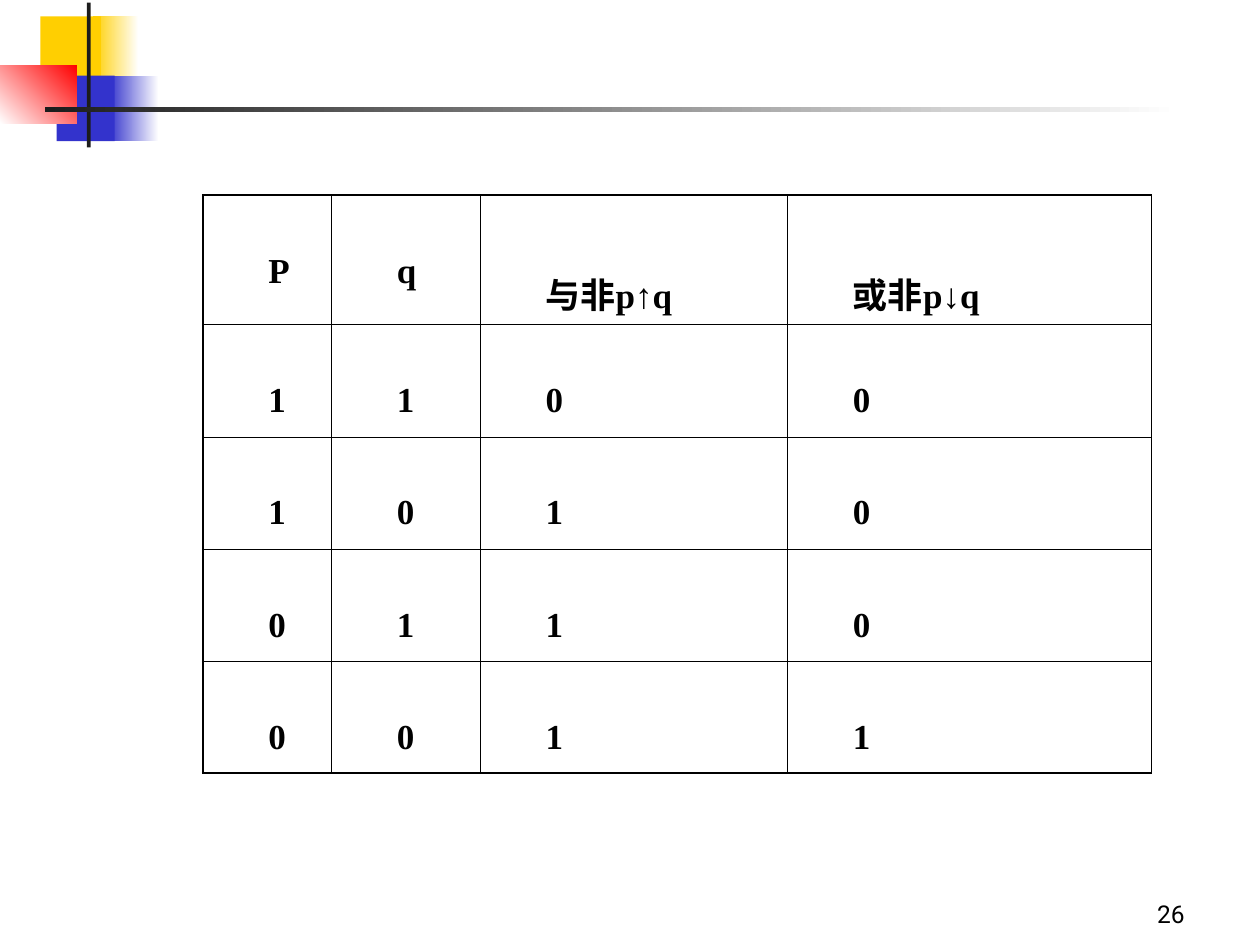
"""Build a slide with the truth table of the NAND and NOR connectives."""
from dataclasses import dataclass
from typing import Any, Optional

from lxml import etree
from pptx import Presentation
from pptx.dml.color import RGBColor
from pptx.enum.shapes import MSO_SHAPE
from pptx.enum.text import MSO_ANCHOR, PP_ALIGN
from pptx.oxml.ns import qn
from pptx.util import Inches, Pt

RECTANGLE = MSO_SHAPE.RECTANGLE
BOTTOM = MSO_ANCHOR.BOTTOM
RIGHT = PP_ALIGN.RIGHT

COLORS = {
    "white": "FFFFFF",
    "yellow": "FFCF01",
    "blue": "3333CC",
    "red": "FF0000",
    "dark": "1C1C1C",
    "black": "000000",
}
TABLE_ROWS = [
    ["P", "q", "与非p↑q", "或非p↓q"],
    ["1", "1", "0", "0"],
    ["1", "0", "1", "0"],
    ["0", "1", "1", "0"],
    ["0", "0", "1", "1"],
]
COLUMN_WIDTHS = [1.02, 1.18, 2.44, 2.89]
ROW_HEIGHT = 0.89
OUTER_BORDER = 1.08
INNER_BORDER = 0.45
CELL_PARAGRAPH = {"line_spacing": 2.3, "space_before": Pt(5)}
CELL_FONT = {"name": "Times New Roman", "size": Pt(20), "bold": True}
NUMBER_FONT = {"name": "Roboto", "size": Pt(14)}


@dataclass
class Block:
    """A decorative rectangle, fading to a second color if one is given."""
    left: float
    top: float
    width: float
    height: float
    color: str
    fade_to: Optional[str] = None
    angle: float = 180


BLOCKS = [
    Block(0.74, 0.13, 0.36, 0.52, "white", "yellow"),
    Block(0.86, 0.6, 0.4, 0.52, "white", "blue"),
    Block(0.32, 0.13, 0.48, 0.52, "yellow"),
    Block(0.45, 0.6, 0.46, 0.52, "blue"),
    Block(0, 0.52, 0.61, 0.46, "red", "white", 225),
    Block(0.69, 0.02, 0.03, 1.15, "dark"),
    Block(0.36, 0.85, 9, 0.04, "white", "dark"),
]


def rgb(name: str) -> RGBColor:
    """Return the named color."""
    return RGBColor.from_string(COLORS[name])


def apply_format(target: Any, values: dict) -> None:
    """Set every attribute in values on the target."""
    for name, value in values.items():
        setattr(target, name, value)


def add_block(slide: Any, block: Block) -> None:
    """Draw one decorative rectangle."""
    shape = slide.shapes.add_shape(
        RECTANGLE, Inches(block.left), Inches(block.top),
        Inches(block.width), Inches(block.height))
    shape.shadow.inherit = False
    shape.line.fill.background()
    if block.fade_to is None:
        shape.fill.solid()
        shape.fill.fore_color.rgb = rgb(block.color)
        return
    shape.fill.gradient()
    shape.fill.gradient_angle = block.angle
    for stop, color in zip(shape.fill.gradient_stops, (block.color, block.fade_to)):
        stop.color.rgb = rgb(color)


def write_text(paragraph: Any, text: str, font_format: dict) -> None:
    """Add a black run with the given font format."""
    run = paragraph.add_run()
    run.text = text
    apply_format(run.font, font_format)
    run.font.color.rgb = rgb("black")


def set_borders(cell: Any, outer_sides: dict) -> None:
    """Draw the four cell borders, heavier on the outer sides."""
    properties = cell._tc.get_or_add_tcPr()
    for position, (side, outer) in enumerate(outer_sides.items()):
        width = Pt(OUTER_BORDER if outer else INNER_BORDER)
        line = etree.Element(qn(f"a:ln{side}"), w=str(int(width)))
        fill = etree.SubElement(line, qn("a:solidFill"))
        etree.SubElement(fill, qn("a:srgbClr"), val=COLORS["black"])
        properties.insert(position, line)


def add_truth_table(slide: Any) -> None:
    """Draw the truth table."""
    row_count, column_count = len(TABLE_ROWS), len(COLUMN_WIDTHS)
    frame = slide.shapes.add_table(
        row_count, column_count, Inches(1.61), Inches(1.55),
        Inches(sum(COLUMN_WIDTHS)), Inches(ROW_HEIGHT * row_count))
    table = frame.table
    apply_format(table, {"first_row": False, "horz_banding": False})
    for column, width in zip(table.columns, COLUMN_WIDTHS):
        column.width = Inches(width)
    for row_index, texts in enumerate(TABLE_ROWS):
        table.rows[row_index].height = Inches(ROW_HEIGHT)
        for column_index, text in enumerate(texts):
            cell = table.cell(row_index, column_index)
            cell.fill.background()
            set_borders(cell, {
                "L": column_index == 0,
                "R": column_index == column_count - 1,
                "T": row_index == 0,
                "B": row_index == row_count - 1,
            })
            paragraph = cell.text_frame.paragraphs[0]
            apply_format(paragraph, CELL_PARAGRAPH)
            paragraph_properties = paragraph._p.get_or_add_pPr()
            paragraph_properties.set("marL", str(Inches(0.42)))
            paragraph_properties.set("indent", "0")
            write_text(paragraph, text, CELL_FONT)


def add_slide_number(slide: Any, number: str) -> None:
    """Write the slide number at the bottom right."""
    box = slide.shapes.add_textbox(
        Inches(7.42), Inches(6.92), Inches(2.08), Inches(0.5))
    apply_format(box.text_frame, {"word_wrap": True, "vertical_anchor": BOTTOM})
    paragraph = box.text_frame.paragraphs[0]
    paragraph.alignment = RIGHT
    write_text(paragraph, number, NUMBER_FONT)


def main() -> None:
    """Build and save the presentation."""
    presentation = Presentation()
    apply_format(presentation, {"slide_width": Inches(10), "slide_height": Inches(7.5)})
    slide = presentation.slides.add_slide(presentation.slide_layouts[6])
    for block in BLOCKS:
        add_block(slide, block)
    add_truth_table(slide)
    add_slide_number(slide, "26")
    presentation.save("out.pptx")


main()
